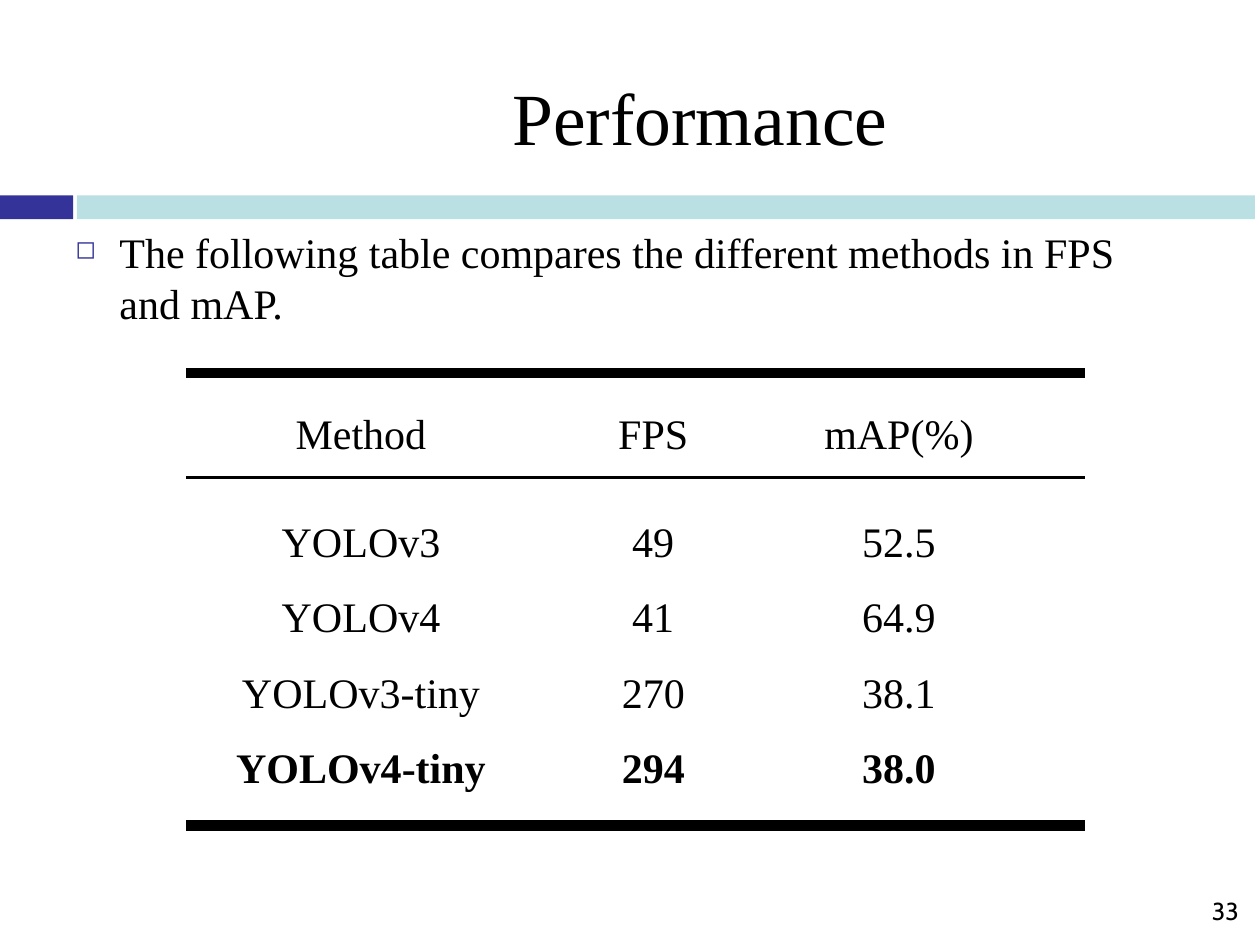
from dataclasses import dataclass

from lxml import etree
from pptx import Presentation
from pptx.dml.color import RGBColor
from pptx.enum.shapes import MSO_CONNECTOR, MSO_SHAPE
from pptx.enum.text import MSO_ANCHOR, PP_ALIGN
from pptx.oxml.ns import qn
from pptx.util import Inches, Pt

RECTANGLE = MSO_SHAPE.RECTANGLE
STRAIGHT = MSO_CONNECTOR.STRAIGHT
TOP, MIDDLE = MSO_ANCHOR.TOP, MSO_ANCHOR.MIDDLE
LEFT, CENTER, RIGHT = PP_ALIGN.LEFT, PP_ALIGN.CENTER, PP_ALIGN.RIGHT
SERIF = "Times New Roman"
BLACK, NAVY, PALE_TEAL = "000000", "333399", "BBE0E3"
TABLE_LEFT, TABLE_RIGHT = 1.48, 8.61
TABLE_TOP, TABLE_BOTTOM = 2.96, 6.55


@dataclass
class Band:
    left: float
    width: float
    color: str


@dataclass
class Rule:
    top: float
    weight: float


@dataclass
class Label:
    text: str
    left: float
    top: float
    width: float
    height: float
    size: float
    font: str = SERIF
    align: PP_ALIGN = LEFT
    anchor: MSO_ANCHOR = TOP


@dataclass
class Row:
    values: tuple
    height: float
    margin_top: float = 0
    margin_bottom: float = 0
    bold: bool = False


BANDS = [Band(0, 0.58, NAVY), Band(0.61, 9.35, PALE_TEAL)]
RULES = [Rule(TABLE_TOP, 6), Rule(3.79, 2.25), Rule(TABLE_BOTTOM, 6)]
TITLE = Label("Performance", 1.61, 0.3, 7.89, 1.25, 42, align=CENTER, anchor=MIDDLE)
INTRO = Label("The following table compares the different methods in FPS and mAP.",
              0.5, 1.75, 9, 4.95, 24)
PAGE_NUMBER = Label("33", 7.6, 7.06, 2.33, 0.36, 14, "Cabin", RIGHT)
COLUMN_WIDTHS = [2.77, 1.87, 2.49]
LAST_COLUMN_MARGIN = 0.46
ROWS = [
    Row(("Method", "FPS", "mAP(%)"), 0.83, margin_top=0.16),
    Row(("YOLOv3", "49", "52.5"), 0.82, margin_top=0.22),
    Row(("YOLOv4", "41", "64.9"), 0.6),
    Row(("YOLOv3-tiny", "270", "38.1"), 0.6),
    Row(("YOLOv4-tiny", "294", "38.0"), 0.74, margin_bottom=0.14, bold=True),
]


def rgb(color: str) -> RGBColor:
    return RGBColor.from_string(color)


def apply(target, values: dict) -> None:
    for name, value in values.items():
        setattr(target, name, value)


def write(para, text: str, align: PP_ALIGN, size: float, font: str, bold: bool = False) -> None:
    para.alignment = align
    span = para.add_run()
    span.text = text
    apply(span.font, {"name": font, "size": Pt(size), "bold": bold})
    span.font.color.rgb = rgb(BLACK)


def add_band(page, band: Band) -> None:
    shape = page.shapes.add_shape(RECTANGLE, Inches(band.left), Inches(1.55),
                                  Inches(band.width), Inches(0.19))
    shape.shadow.inherit = False
    shape.fill.solid()
    shape.fill.fore_color.rgb = rgb(band.color)
    shape.line.fill.background()


def add_label(page, label: Label):
    box = page.shapes.add_textbox(Inches(label.left), Inches(label.top),
                                  Inches(label.width), Inches(label.height))
    apply(box.text_frame, {"word_wrap": True, "vertical_anchor": label.anchor})
    para = box.text_frame.paragraphs[0]
    write(para, label.text, label.align, label.size, label.font)
    return para


def add_bullet(para) -> None:
    properties = para._p.get_or_add_pPr()
    properties.set("marL", str(Inches(0.35)))
    properties.set("indent", str(Inches(-0.35)))
    color = etree.SubElement(properties, qn("a:buClr"))
    etree.SubElement(color, qn("a:srgbClr"), val=NAVY)
    etree.SubElement(properties, qn("a:buSzPct"), val="60000")
    etree.SubElement(properties, qn("a:buChar"), char="◻")


def add_results(page) -> None:
    frame = page.shapes.add_table(len(ROWS), len(COLUMN_WIDTHS), Inches(TABLE_LEFT),
                                  Inches(TABLE_TOP), Inches(TABLE_RIGHT - TABLE_LEFT),
                                  Inches(TABLE_BOTTOM - TABLE_TOP))
    table = frame.table
    apply(table, {"first_row": False, "horz_banding": False})
    for column, width in zip(table.columns, COLUMN_WIDTHS):
        column.width = Inches(width)
    last = len(COLUMN_WIDTHS) - 1
    for table_row, row in zip(table.rows, ROWS):
        table_row.height = Inches(row.height)
        for index, (cell, text) in enumerate(zip(table_row.cells, row.values)):
            apply(cell, {
                "vertical_anchor": MIDDLE,
                "margin_left": 0,
                "margin_right": Inches(LAST_COLUMN_MARGIN if index == last else 0),
                "margin_top": Inches(row.margin_top),
                "margin_bottom": Inches(row.margin_bottom),
            })
            cell.fill.background()
            write(cell.text_frame.paragraphs[0], text, CENTER, 24, SERIF, row.bold)


def add_rule(page, rule: Rule) -> None:
    line = page.shapes.add_connector(STRAIGHT, Inches(TABLE_LEFT), Inches(rule.top),
                                     Inches(TABLE_RIGHT), Inches(rule.top))
    line.line.color.rgb = rgb(BLACK)
    line.line.width = Pt(rule.weight)
    etree.SubElement(line._element.spPr, qn("a:effectLst"))


def main() -> None:
    deck = Presentation()
    apply(deck, {"slide_width": Inches(10), "slide_height": Inches(7.5)})
    page = deck.slides.add_slide(deck.slide_layouts[6])
    for band in BANDS:
        add_band(page, band)
    add_label(page, TITLE)
    add_bullet(add_label(page, INTRO))
    add_label(page, PAGE_NUMBER)
    add_results(page)
    for rule in RULES:
        add_rule(page, rule)
    deck.save("out.pptx")


if __name__ == "__main__":
    main()
